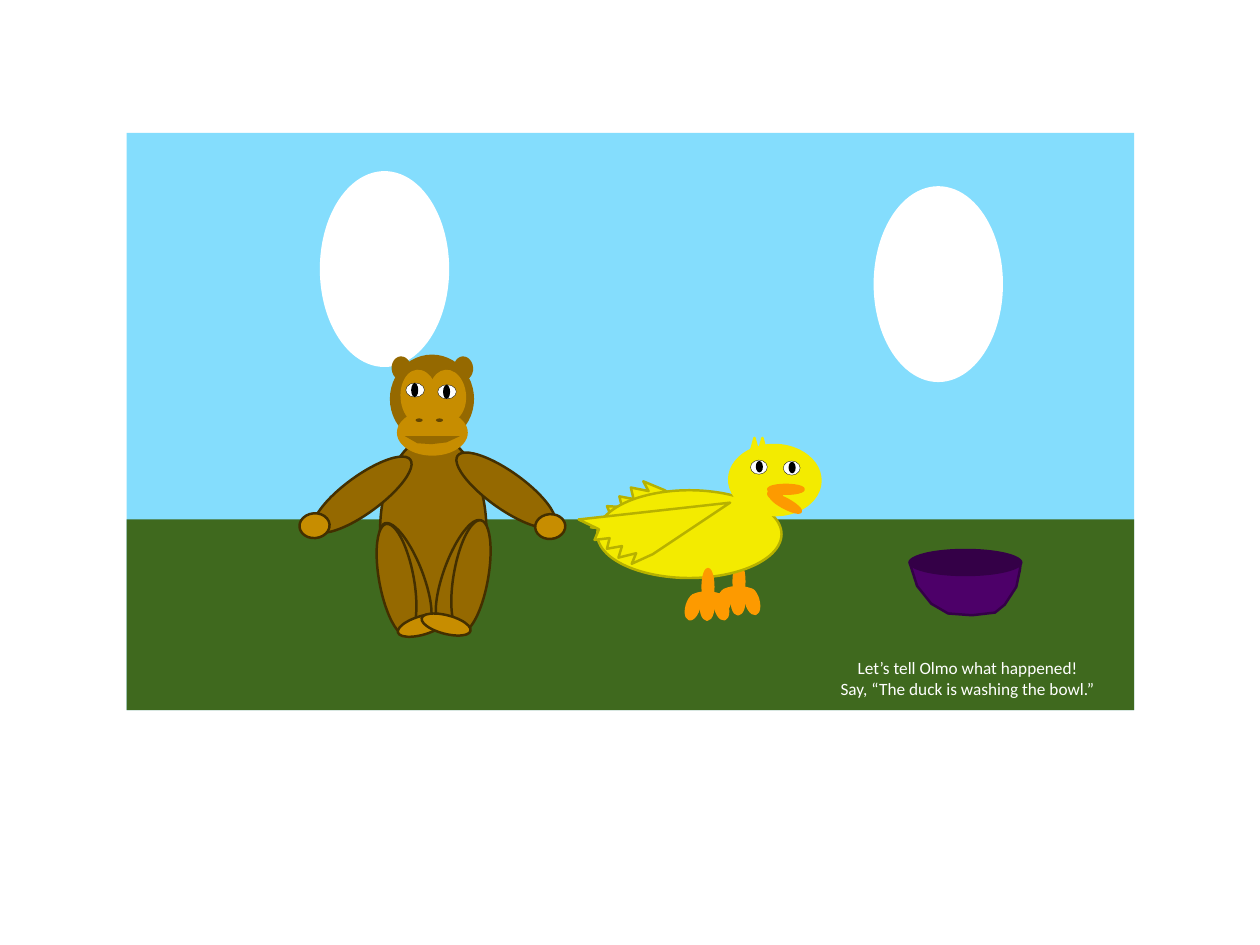
from pptx import Presentation
from pptx import util as u
from pptx.dml.color import RGBColor
from pptx.enum import shapes, text

PX = 9144
FONT = "Calibri"
WHITE = RGBColor(0xFF, 0xFF, 0xFF)
BLACK = RGBColor(0x00, 0x00, 0x00)
SKY = RGBColor(0x84, 0xDD, 0xFD)
GRASS = RGBColor(0x3F, 0x69, 0x1E)
BOWL = RGBColor(0x4D, 0x00, 0x69)
BOWL_DARK = RGBColor(0x34, 0x00, 0x47)
YELLOW = RGBColor(0xF3, 0xEB, 0x00)
FEATHER = RGBColor(0xB7, 0xB1, 0x00)
ORANGE = RGBColor(0xFD, 0x9A, 0x00)
FUR = RGBColor(0x95, 0x69, 0x00)
FUR_LINE = RGBColor(0x43, 0x2F, 0x00)
SKIN = RGBColor(0xC7, 0x8D, 0x00)
NOSTRIL = RGBColor(0x64, 0x46, 0x00)


class Scene:
    def __init__(self, page):
        self.page = page
        self.layer = page.shapes

    def group(self):
        self.layer = self.page.shapes.add_group_shape().shapes

    def paint(self, shape, fill, line, width):
        shape.shadow.inherit = False
        shape.fill.solid()
        shape.fill.fore_color.rgb = fill
        if line is None:
            shape.line.fill.background()
        else:
            shape.line.color.rgb = line
            shape.line.width = u.Pt(width)

    def preset(self, kind, box, fill, line=None, turn=0, width=2):
        shape = self.layer.add_shape(kind, *(value * PX for value in box))
        shape.rotation = turn
        self.paint(shape, fill, line, width)

    def rect(self, box, fill):
        self.preset(shapes.MSO_SHAPE.RECTANGLE, box, fill)

    def oval(self, box, fill, line=None, turn=0, width=2):
        self.preset(shapes.MSO_SHAPE.OVAL, box, fill, line, turn, width)

    def triangle(self, box, fill, line):
        self.preset(shapes.MSO_SHAPE.ISOSCELES_TRIANGLE, box, fill, line)

    def outline(self, points, fill, line=None):
        builder = self.layer.build_freeform(*points[0], scale=PX)
        builder.add_line_segments(points[1:], close=True)
        self.paint(builder.convert_to_shape(), fill, line, 2)

    def eye(self, x, y, width, pupil_height, turn=0):
        self.oval((x, y, width, 16), WHITE, BLACK, turn, 0.25)
        pupil_y = y + (16 - pupil_height) // 2
        self.oval((x + 6, pupil_y, 8, pupil_height), BLACK, turn=turn)

    def foot(self, x, y):
        for index, turn in enumerate((17, 0, -15)):
            self.oval((x + 16 * index, y, 14, 29), ORANGE, ORANGE, turn)
        self.oval((x + 18, y - 13, 12, 35), ORANGE, ORANGE, 272)
        self.oval((x + 18, y - 28, 12, 40), ORANGE, ORANGE)

    def caption(self, box, lines, size, color, bottom):
        frame = self.page.shapes.add_textbox(*(value * PX for value in box)).text_frame
        frame.word_wrap = True
        frame.vertical_anchor = text.MSO_ANCHOR.MIDDLE
        frame.margin_left = frame.margin_right = frame.margin_top = 0
        frame.margin_bottom = bottom * PX
        for index, line in enumerate(lines):
            para = frame.add_paragraph() if index else frame.paragraphs[0]
            para.alignment = text.PP_ALIGN.CENTER
            span = para.add_run()
            span.text = line
            span.font.name = FONT
            span.font.size = u.Pt(size)
            span.font.color.rgb = color


def draw_background(scene):
    scene.rect((143, 150, 1137, 651), SKY)
    scene.rect((143, 586, 1137, 215), GRASS)
    for x, y in ((361, 193), (986, 210)):
        scene.oval((x, y, 146, 221), WHITE)


def draw_bowl(scene):
    scene.group()
    scene.outline([(1027, 636), (1035, 661), (1051, 681), (1070, 692), (1097, 694),
                   (1123, 691), (1134, 682), (1147, 662), (1151, 643), (1152, 635)],
                  BOWL, BOWL_DARK)
    scene.oval((1025, 619, 129, 31), BOWL_DARK)


def draw_duck(scene):
    far_wing = [(838, 609), (750, 553), (726, 543), (732, 554), (712, 550), (715, 563),
                (699, 560), (702, 572), (685, 571), (690, 583), (667, 595)]
    near_wing = [(824, 567), (737, 625), (713, 636), (718, 624), (698, 629), (702, 616),
                 (685, 619), (688, 607), (671, 609), (676, 597), (653, 586)]
    scene.group()
    scene.foot(810, 664)
    scene.outline(far_wing, YELLOW, FEATHER)
    scene.oval((674, 553, 208, 99), YELLOW, FEATHER)
    scene.oval((823, 502, 103, 79), YELLOW, YELLOW, 1.5)
    for box, turn in (((867, 547, 40, 10), 0), ((867, 563, 39, 10), 28.3),
                      ((867, 552, 16, 10), 0)):
        scene.oval(box, ORANGE, ORANGE, turn)
    scene.outline(near_wing, YELLOW, FEATHER)
    for x, y in ((847, 519), (884, 520)):
        scene.eye(x, y, 19, 13, -1.6)
    for x in (848, 857):
        scene.triangle((x, 494, 7, 13), YELLOW, YELLOW)
    scene.foot(775, 670)


def draw_monkey(scene):
    scene.group()
    scene.oval((512, 402, 22, 27), FUR, turn=-4.4)
    scene.oval((429, 492, 120, 213), FUR, FUR_LINE)
    scene.oval((442, 402, 22, 27), FUR, turn=-4.4)
    scene.oval((440, 400, 95, 100), FUR)
    scene.oval((448, 462, 80, 52), SKIN)
    scene.outline([(457, 492), (471, 500), (487, 501), (504, 499), (519, 492)], FUR)
    for arm, turn, hand in (((388, 491, 42, 134), 53.9, (338, 579, 34, 28)),
                            ((550, 486, 42, 134), -54.5, (604, 580, 34, 28))):
        scene.oval(arm, FUR, FUR_LINE, turn)
        scene.oval(hand, SKIN, FUR_LINE, -4.4)
    scene.oval((452, 417, 42, 62), SKIN, turn=-4.4)
    scene.oval((484, 417, 42, 59), SKIN, turn=-4.4)
    for x, y in ((458, 432), (494, 434)):
        scene.eye(x, y, 21, 16)
    for x in (469, 492):
        scene.oval((x, 472, 8, 4), NOSTRIL)
    for x, y, turn in ((501, 583, 20.2), (438, 586, -21.4), (512, 586, 10), (428, 590, -10.5)):
        scene.oval((x, y, 39, 128), FUR, FUR_LINE, turn)
    for x, y, turn in ((448, 695, -16.4), (475, 694, 14.7)):
        scene.oval((x, y, 57, 21), SKIN, FUR_LINE, turn)


def main():
    deck = Presentation()
    deck.slide_width = 1422 * PX
    deck.slide_height = 1066 * PX
    scene = Scene(deck.slides.add_slide(deck.slide_layouts[6]))
    draw_background(scene)
    scene.caption((901, 738, 382, 78),
                  ("Let’s tell Olmo what happened!", "Say, “The duck is washing the bowl.”"),
                  14, WHITE, 24)
    draw_bowl(scene)
    draw_duck(scene)
    draw_monkey(scene)
    deck.save("out.pptx")


if __name__ == "__main__":
    main()
